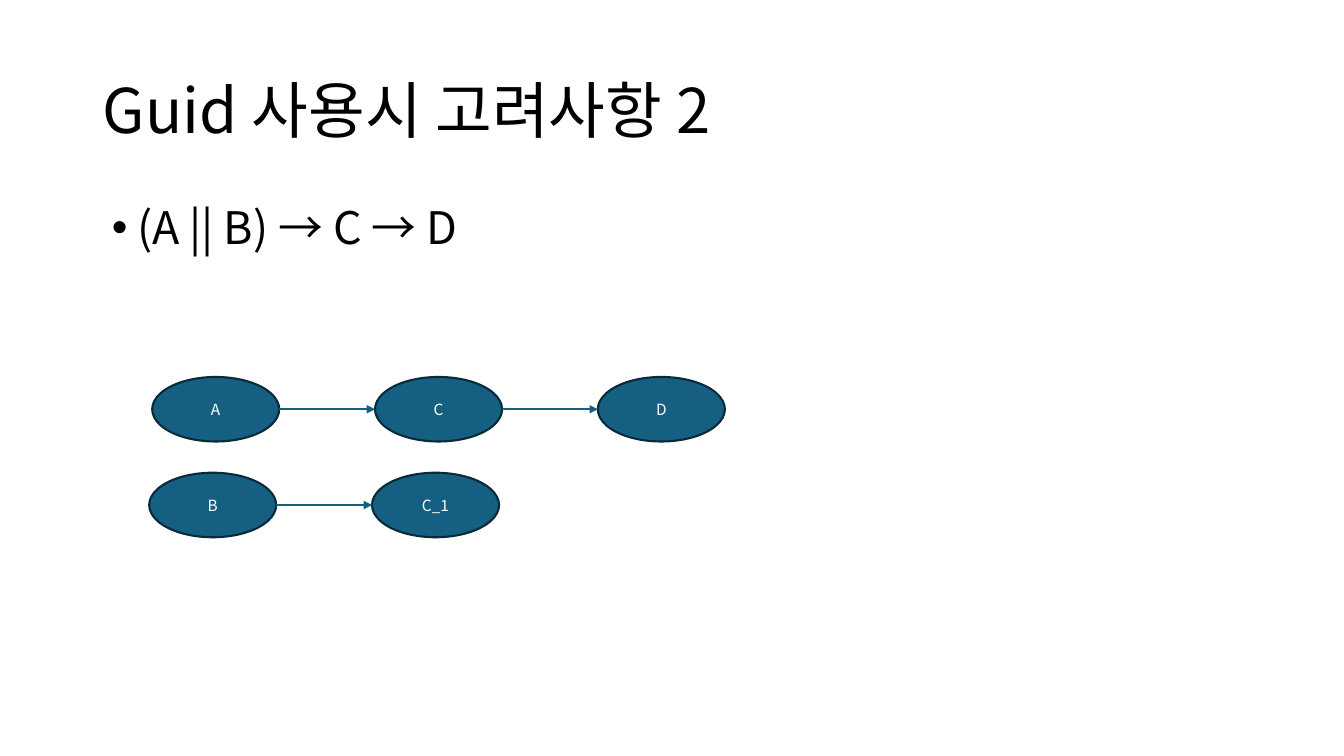
from dataclasses import dataclass

from lxml.etree import SubElement
from pptx import Presentation
from pptx.dml.color import RGBColor as RGB
from pptx.enum.shapes import MSO_CONNECTOR as CONNECTOR, MSO_SHAPE as SHAPE
from pptx.enum.text import MSO_ANCHOR as ANCHOR, MSO_AUTO_SIZE as AUTO, PP_ALIGN as ALIGN
from pptx.oxml.ns import qn
from pptx.util import Inches, Pt


@dataclass(frozen=True)
class Theme:
    font: str = "Noto Sans CJK KR"
    text: RGB = RGB(0x00, 0x00, 0x00)
    node: RGB = RGB(0x15, 0x60, 0x82)
    outline: RGB = RGB(0x09, 0x2A, 0x39)
    label: RGB = RGB(0xFF, 0xFF, 0xFF)
    title_size: int = 44
    body_size: int = 32
    label_size: int = 11
    line: float = 1.5


T = Theme()
NODE_W, NODE_H, NODE_PITCH = 1.26, 0.64, 2.21


def write(tf, text, size, color, align, anchor):
    tf.word_wrap, tf.auto_size, tf.vertical_anchor = True, AUTO.NONE, anchor
    p = tf.paragraphs[0]
    p.text, p.alignment = text, align
    p.font.name, p.font.size = T.font, Pt(size)
    p.font.color.rgb = color
    # Hangul takes the East Asian typeface
    SubElement(p._p.pPr.find(qn("a:defRPr")), qn("a:ea"), typeface=T.font)
    return p


def fill_placeholder(sp, box, text, size, anchor):
    sp.left, sp.top, sp.width, sp.height = map(Inches, box)
    p = write(sp.text_frame, text, size, T.text, ALIGN.LEFT, anchor)
    p.line_spacing = 0.9
    return p


def add_title(s, box, text):
    fill_placeholder(s.shapes.title, box, text, T.title_size, ANCHOR.MIDDLE)


def add_body(s, box, text):
    p = fill_placeholder(s.placeholders[1], box, text, T.body_size, ANCHOR.TOP)
    p.space_before = Pt(10)
    # Hanging bullet indent
    pPr = p._p.pPr
    pPr.set("marL", str(Inches(0.25)))
    pPr.set("indent", str(-Inches(0.25)))


def add_node(s, x, y, text):
    sp = s.shapes.add_shape(SHAPE.OVAL, Inches(x), Inches(y), Inches(NODE_W), Inches(NODE_H))
    sp.shadow.inherit = False
    sp.fill.solid()
    sp.fill.fore_color.rgb = T.node
    sp.line.color.rgb, sp.line.width = T.outline, Pt(T.line)
    write(sp.text_frame, text, T.label_size, T.label, ALIGN.CENTER, ANCHOR.MIDDLE)
    return sp


def add_arrow(s, start, end):
    # From the right tip of one oval to the left tip of the next
    c = s.shapes.add_connector(
        CONNECTOR.STRAIGHT,
        start.left + start.width, start.top + start.height // 2,
        end.left, end.top + end.height // 2,
    )
    c.line.color.rgb, c.line.width = T.node, Pt(T.line)
    spPr = c._element.spPr
    SubElement(spPr.find(qn("a:ln")), qn("a:tailEnd"), type="triangle")
    SubElement(spPr, qn("a:effectLst"))


def add_chain(s, x, y, labels):
    nodes = [add_node(s, x + i * NODE_PITCH, y, label) for i, label in enumerate(labels)]
    for start, end in zip(nodes, nodes[1:]):
        add_arrow(s, start, end)


def main():
    prs = Presentation()
    prs.slide_width, prs.slide_height = Inches(13.33), Inches(7.5)
    s = prs.slides.add_slide(prs.slide_layouts[1])

    # Heading and rule
    add_title(s, (0.92, 0.4, 11.5, 1.45), "Guid 사용시 고려사항 2")
    add_body(s, (1.01, 1.99, 6.06, 1.3), "(A || B) → C → D")

    # Flow chains
    add_chain(s, 1.51, 3.74, ["A", "C", "D"])
    add_chain(s, 1.48, 4.69, ["B", "C_1"])

    prs.save("out.pptx")


if __name__ == "__main__":
    main()
